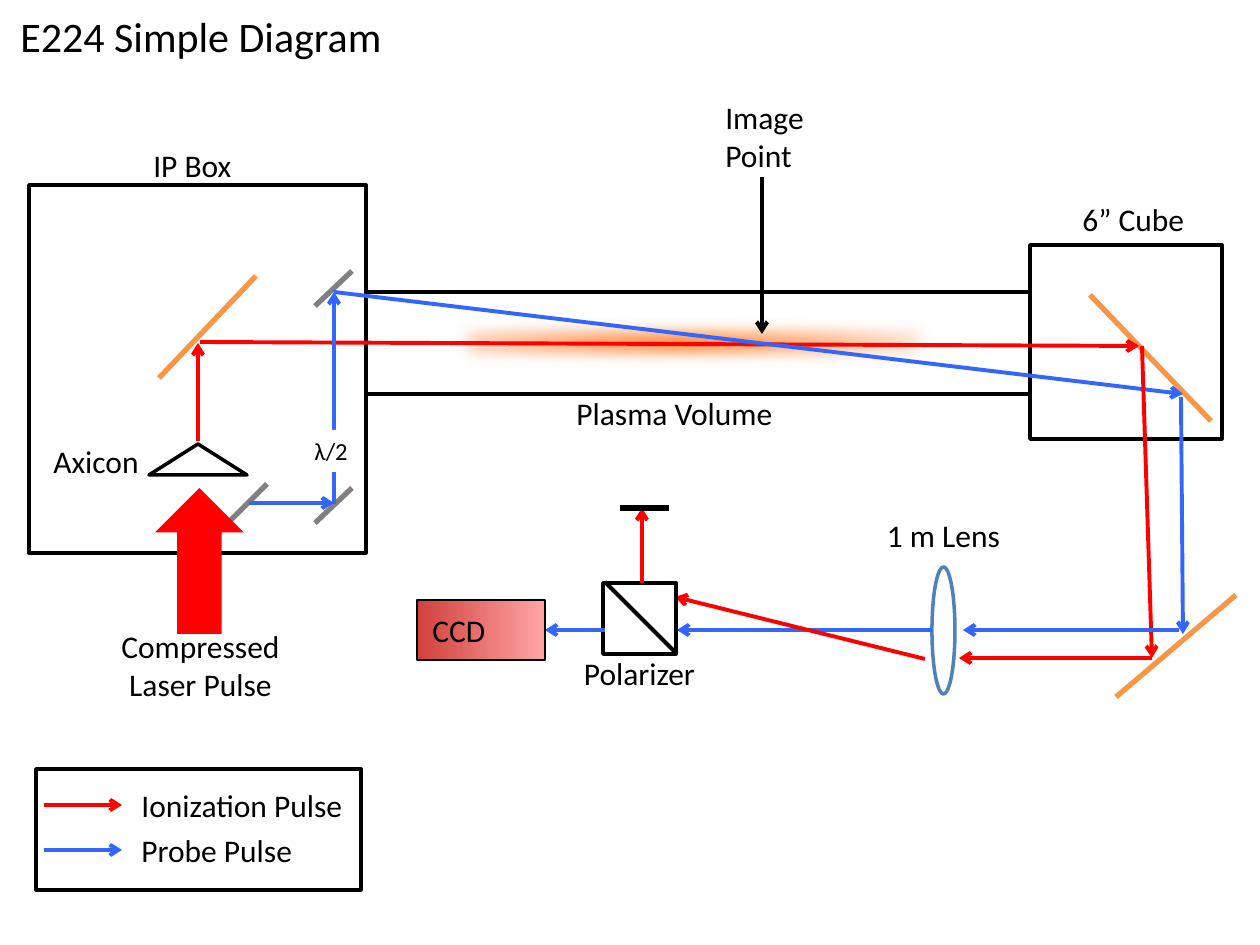
import pptx
import pptx.dml.color
import pptx.enum.shapes
import pptx.enum.text
import pptx.oxml
import pptx.oxml.ns
import pptx.util
from lxml import etree

PX = 914400 / 126
FONT = "Calibri"
COLORS = {
    "black": "000000",
    "white": "FFFFFF",
    "ionization": "FF0000",
    "probe": "3366FF",
    "optic": "F79646",
    "mirror": "808080",
    "lens": "4F81BD",
}
PLASMA_STOPS = [(0, "FFDED0", 100), (48, "FF6600", 72), (100, "FFF2ED", 100)]
CCD_STOPS = [(0, "D1403C", 100), (100, "FFA6A5", 100)]
SHAPES = pptx.enum.shapes.MSO_SHAPE
LEFT = pptx.enum.text.PP_ALIGN.LEFT
CENTER = pptx.enum.text.PP_ALIGN.CENTER


def px(length):
    return pptx.util.Emu(round(length * PX))


def rgb(name):
    return pptx.dml.color.RGBColor.from_string(COLORS[name])


def add_outline(slide, kind, box, fill="white", line="black", width=2):
    """Add a preset shape; fill or line may be None."""
    shape = slide.shapes.add_shape(kind, *map(px, box))
    shape.shadow.inherit = False
    if fill:
        shape.fill.solid()
        shape.fill.fore_color.rgb = rgb(fill)
    else:
        shape.fill.background()
    if line:
        shape.line.color.rgb = rgb(line)
        shape.line.width = pptx.util.Pt(width)
    else:
        shape.line.fill.background()
    return shape


def set_gradient(shape, stops, angle):
    """Fill with (position %, hex colour, opacity %) stops, angle clockwise."""
    shape.fill.gradient()
    properties = shape.element.spPr
    gradient = properties.find(pptx.oxml.ns.qn("a:gradFill"))
    stop_xml = "".join(
        f'<a:gs pos="{position * 1000}"><a:srgbClr val="{color}">'
        f'<a:alpha val="{opacity * 1000}"/></a:srgbClr></a:gs>'
        for position, color, opacity in stops
    )
    properties.replace(gradient, pptx.oxml.parse_xml(
        f'<a:gradFill {pptx.oxml.ns.nsdecls("a")} rotWithShape="1">'
        f'<a:gsLst>{stop_xml}</a:gsLst>'
        f'<a:lin ang="{angle * 60000}" scaled="0"/></a:gradFill>'
    ))


def soften_edges(shape, radius):
    effects = shape.element.spPr.find(pptx.oxml.ns.qn("a:effectLst"))
    etree.SubElement(effects, pptx.oxml.ns.qn("a:softEdge"), rad=str(pptx.util.Pt(radius)))


def add_line(slide, start, end, color, width=3):
    connector = slide.shapes.add_connector(
        pptx.enum.shapes.MSO_CONNECTOR.STRAIGHT, *map(px, start + end)
    )
    connector.line.color.rgb = rgb(color)
    connector.line.width = pptx.util.Pt(width)
    etree.SubElement(connector.element.spPr, pptx.oxml.ns.qn("a:effectLst"))
    return connector


def add_beam(slide, start, end, color):
    connector = add_line(slide, start, end, color, 2.25)
    line = connector.line._get_or_add_ln()
    etree.SubElement(line, pptx.oxml.ns.qn("a:tailEnd"), type="arrow")
    return connector


def write_text(shape, text, size=18, align=LEFT, wrap=True):
    frame = shape.text_frame
    frame.word_wrap = wrap
    frame.auto_size = pptx.enum.text.MSO_AUTO_SIZE.SHAPE_TO_FIT_TEXT
    paragraph = frame.paragraphs[0]
    paragraph.alignment = align
    run = paragraph.add_run()
    run.text = text
    run.font.name = FONT
    run.font.size = pptx.util.Pt(size)
    run.font.color.rgb = rgb("black")


def add_label(slide, box, text, size=18, align=LEFT):
    write_text(slide.shapes.add_textbox(*map(px, box)), text, size, align)


def add_chambers(slide):
    plasma = add_outline(slide, SHAPES.RECTANGLE, (443, 310, 501, 65), line=None)
    set_gradient(plasma, PLASMA_STOPS, 0)
    soften_edges(plasma, 10)
    add_outline(slide, SHAPES.RECTANGLE, (29, 185, 337, 368))
    add_outline(slide, SHAPES.RECTANGLE, (1030, 245, 192, 194))
    add_outline(slide, SHAPES.RECTANGLE, (366, 292, 664, 102), fill=None)


def add_mirrors(slide):
    for start, end, color in [
        ((159, 378), (256, 276), "optic"),
        ((1090, 295), (1211, 421), "optic"),
        ((1116, 697), (1236, 595), "optic"),
        ((315, 306), (352, 271), "mirror"),
        ((231, 520), (267, 484), "mirror"),
        ((315, 523), (352, 488), "mirror"),
    ]:
        add_line(slide, start, end, color)


def add_upper_beams(slide):
    for start, end, color in [
        ((198, 441), (198, 343), "ionization"),
        ((200, 342), (1139, 346), "ionization"),
        ((334, 504), (334, 292), "probe"),
        ((334, 292), (1183, 394), "probe"),
        ((1142, 346), (1152, 658), "ionization"),
        ((1181, 397), (1183, 634), "probe"),
        ((249, 503), (334, 503), "probe"),
        ((762, 177), (762, 334), "black"),
    ]:
        add_beam(slide, start, end, color)


def add_source_optics(slide):
    add_outline(slide, SHAPES.ISOSCELES_TRIANGLE, (149, 444, 98, 31))
    wave_plate = add_outline(slide, SHAPES.RECTANGLE, (302, 430, 59, 42), line=None)
    write_text(wave_plate, "λ/2", 14, wrap=False)
    add_outline(slide, SHAPES.UP_ARROW, (155, 488, 89, 146), "ionization", None)


def add_detection_arm(slide):
    add_beam(slide, (1179, 630), (963, 630), "probe")
    add_beam(slide, (1152, 658), (959, 658), "ionization")
    add_outline(slide, SHAPES.OVAL, (932, 567, 23, 127), line="lens")
    add_beam(slide, (932, 630), (677, 630), "probe")
    add_beam(slide, (925, 659), (675, 597), "ionization")
    add_outline(slide, SHAPES.RECTANGLE, (603, 583, 73, 71))
    add_line(slide, (605, 582), (677, 654), "black", 2.25)
    add_beam(slide, (642, 583), (642, 508), "ionization")
    add_line(slide, (620, 508), (669, 508), "black")
    ccd_beam = add_beam(slide, (605, 630), (545, 630), "probe")
    ccd = add_outline(slide, SHAPES.RECTANGLE, (451, 566, 60, 128), width=0.75)
    set_gradient(ccd, CCD_STOPS, 270)
    ccd.rotation = 90
    # The turned top side faces right, so the end is placed there again.
    ccd_beam.end_connect(ccd, 0)
    ccd_beam.end_x, ccd_beam.end_y = px(545), px(630)


def add_labels(slide):
    add_label(slide, (8, 4, 590, 63), "E224 Simple Diagram", 24)
    for box, text, align in [
        ((141, 140, 112, 50), "IP Box", LEFT),
        ((1070, 194, 135, 50), "6” Cube", LEFT),
        ((713, 92, 112, 89), "Image Point", LEFT),
        ((106, 621, 189, 89), "Compressed Laser Pulse", CENTER),
        ((564, 388, 232, 50), "Plasma Volume", LEFT),
        ((420, 605, 112, 50), "CCD", LEFT),
        ((29, 436, 134, 50), "Axicon", CENTER),
        ((564, 648, 151, 50), "Polarizer", CENTER),
        ((868, 510, 151, 50), "1 m Lens", CENTER),
    ]:
        add_label(slide, box, text, align=align)


def add_legend(slide):
    add_outline(slide, SHAPES.RECTANGLE, (36, 769, 325, 121))
    for y, color, text in [
        (805, "ionization", "Ionization Pulse"),
        (850, "probe", "Probe Pulse"),
    ]:
        add_beam(slide, (44, y), (122, y), color)
        add_label(slide, (129, y - 25, 248, 50), text)


def main():
    presentation = pptx.Presentation()
    presentation.slide_width, presentation.slide_height = px(1260), px(945)
    slide = presentation.slides.add_slide(presentation.slide_layouts[6])
    add_chambers(slide)
    add_mirrors(slide)
    add_upper_beams(slide)
    add_source_optics(slide)
    add_detection_arm(slide)
    add_labels(slide)
    add_legend(slide)
    presentation.save("out.pptx")


if __name__ == "__main__":
    main()
